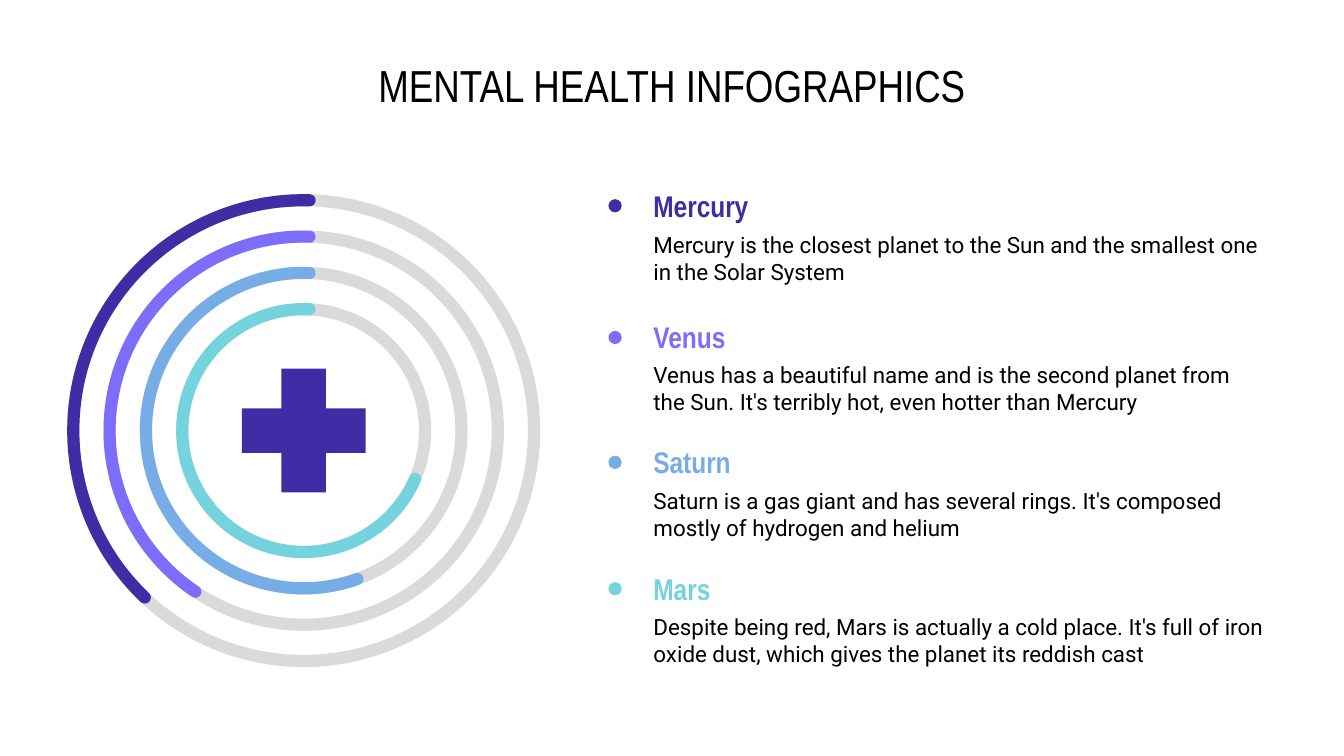
from dataclasses import dataclass
from math import asin, ceil, cos, degrees, floor, radians, sin, tan

from lxml import etree
from pptx import Presentation
from pptx import util as u
from pptx.dml.color import RGBColor
from pptx.enum import shapes, text
from pptx.oxml.ns import qn

INDIGO = RGBColor(0x3F, 0x2D, 0xA5)
VIOLET = RGBColor(0x7E, 0x6C, 0xFB)
BLUE = RGBColor(0x77, 0xAD, 0xE6)
TEAL = RGBColor(0x74, 0xD3, 0xDC)
TRACK = RGBColor(0xDA, 0xDA, 0xDA)
BLACK = RGBColor(0, 0, 0)

# All lengths below are centimetres
CENTER_X, CENTER_Y = 5.74, 8.14
OUTER_RADIUS, INNER_RADIUS, BAND = 4.47, 2.41, 0.23
START_OVERHANG = 0.11
CROSS_SIZE = 2.34
DOT_SIZE, DOT_LEFT, TEXT_LEFT = 0.25, 11.5, 12.1
INSET = 0.25

HEADING = dict(name="Arial Narrow", size=u.Pt(16), bold=True)
BODY = dict(name="Roboto", size=u.Pt(12))
TITLE = dict(name="Arial Narrow", size=u.Pt(24), bold=False)

Point = tuple[float, float]


@dataclass
class Planet:
    name: str
    description: str
    color: RGBColor
    heading_top: float
    body_top: float
    sweep: float  # degrees from the top, counterclockwise


PLANETS = [
    Planet("Mercury", "Mercury is the closest planet to the Sun and the smallest one "
           "in the Solar System", INDIGO, 3.56, 4.12, 136.4),
    Planet("Venus", "Venus has a beautiful name and is the second planet from the Sun. "
           "It's terribly hot, even hotter than Mercury", VIOLET, 6.05, 6.57, 146.1),
    Planet("Saturn", "Saturn is a gas giant and has several rings. It's composed mostly "
           "of hydrogen and helium", BLUE, 8.41, 8.96, 199.9),
    Planet("Mars", "Despite being red, Mars is actually a cold place. It's full of iron "
           "oxide dust, which gives the planet its reddish cast", TEAL, 10.8, 11.34, 246.6),
]


def paint(shape, color: RGBColor) -> None:
    shape.shadow.inherit = False
    shape.fill.solid()
    shape.fill.fore_color.rgb = color
    shape.line.fill.background()


def add_centered(slide, kind, x: float, y: float, size: float, color: RGBColor):
    shape = slide.shapes.add_shape(kind, u.Cm(x - size / 2), u.Cm(y - size / 2),
                                   u.Cm(size), u.Cm(size))
    paint(shape, color)
    return shape


def write(shape, words: str, style: dict, color: RGBColor,
          anchor=text.MSO_ANCHOR.MIDDLE, align=text.PP_ALIGN.LEFT) -> None:
    frame = shape.text_frame
    frame.text = words
    layout = dict(word_wrap=True, auto_size=text.MSO_AUTO_SIZE.NONE, vertical_anchor=anchor)
    layout.update({f"margin_{side}": u.Cm(INSET) for side in ("left", "top", "right", "bottom")})
    for key, value in layout.items():
        setattr(frame, key, value)
    paragraph = frame.paragraphs[0]
    paragraph.alignment = align
    font = paragraph.runs[0].font
    for key, value in style.items():
        setattr(font, key, value)
    font.color.rgb = color


def add_textbox(slide, top: float, width: float, height: float, *content, **options) -> None:
    box = slide.shapes.add_textbox(u.Cm(TEXT_LEFT), u.Cm(top), u.Cm(width), u.Cm(height))
    write(box, *content, **options)


def on_circle(center: Point, radius: float, angle: float) -> Point:
    """Point at an angle in degrees, counterclockwise from the top."""
    a = radians(angle)
    return center[0] - radius * sin(a), center[1] - radius * cos(a)


def arc(center: Point, radius: float, start: float, end: float) -> list[Point]:
    """Cubic control points of an arc, three for each piece, cut at every quarter turn."""
    low, high = sorted((start, end))
    quarters = [90 * n for n in range(floor(low / 90) + 1, ceil(high / 90))]
    stops = sorted([start, *quarters, end], reverse=start > end)
    controls = []
    for a, b in zip(stops, stops[1:]):
        pull = 4 / 3 * tan(radians(b - a) / 4) * radius
        (x0, y0), (x1, y1) = (on_circle(center, radius, angle) for angle in (a, b))
        a, b = radians(a), radians(b)
        controls += [(x0 - pull * cos(a), y0 + pull * sin(a)),
                     (x1 + pull * cos(b), y1 - pull * sin(b)), (x1, y1)]
    return controls


def curve_outline(shape) -> None:
    """Turn each three line points of a freeform into one cubic curve."""
    lines = list(shape._element.iter(qn("a:lnTo")))
    for first, second, last in zip(lines[::3], lines[1::3], lines[2::3]):
        curve = etree.Element(qn("a:cubicBezTo"))
        first.addprevious(curve)
        for line in (first, second, last):
            curve.append(line[0])
            line.getparent().remove(line)


def add_progress(slide, radius: float, sweep: float, color: RGBColor) -> None:
    """Draw a circular band with round ends, running counterclockwise from the top."""
    center = (CENTER_X, CENTER_Y)
    half = BAND / 2
    middle = radius - half
    start = -degrees(asin(START_OVERHANG / middle))
    outline = [
        on_circle(center, radius, start),
        *arc(center, radius, start, sweep),
        *arc(on_circle(center, middle, sweep), half, sweep, sweep + 180),
        *arc(center, radius - BAND, sweep, start),
        *arc(on_circle(center, middle, start), half, start + 180, start + 360),
    ]
    corners = [(u.Cm(x), u.Cm(y)) for x, y in outline]
    builder = slide.shapes.build_freeform(*corners[0])
    builder.add_line_segments(corners[1:], close=True)
    band = builder.convert_to_shape()
    curve_outline(band)
    paint(band, color)


def add_planet(slide, planet: Planet, radius: float) -> None:
    add_centered(slide, shapes.MSO_SHAPE.OVAL, DOT_LEFT + DOT_SIZE / 2,
                 planet.heading_top + 0.33, DOT_SIZE, planet.color)
    ring = add_centered(slide, shapes.MSO_SHAPE.DONUT, CENTER_X, CENTER_Y, 2 * radius, TRACK)
    ring.adjustments[0] = BAND / (2 * radius)
    add_progress(slide, radius, planet.sweep, planet.color)
    add_textbox(slide, planet.heading_top, 2.77, 0.64, planet.name, HEADING, planet.color)
    add_textbox(slide, planet.body_top, 12.04, 1.3, planet.description, BODY, BLACK,
                anchor=text.MSO_ANCHOR.TOP)


def main() -> None:
    deck = Presentation()
    deck.slide_width, deck.slide_height = u.Cm(25.4), u.Cm(14.29)
    slide = deck.slides.add_slide(deck.slide_layouts[5])

    title = slide.shapes.title
    title.left, title.top, title.width, title.height = map(u.Cm, (1.27, 1.14, 22.86, 0.91))
    write(title, "MENTAL HEALTH INFOGRAPHICS", TITLE, BLACK, align=text.PP_ALIGN.CENTER)

    cross = add_centered(slide, shapes.MSO_SHAPE.CROSS, CENTER_X, CENTER_Y, CROSS_SIZE, INDIGO)
    cross.adjustments[0] = 0.32
    radius_step = (OUTER_RADIUS - INNER_RADIUS) / (len(PLANETS) - 1)
    for index, planet in enumerate(PLANETS):
        add_planet(slide, planet, OUTER_RADIUS - index * radius_step)

    deck.save("out.pptx")


if __name__ == "__main__":
    main()
